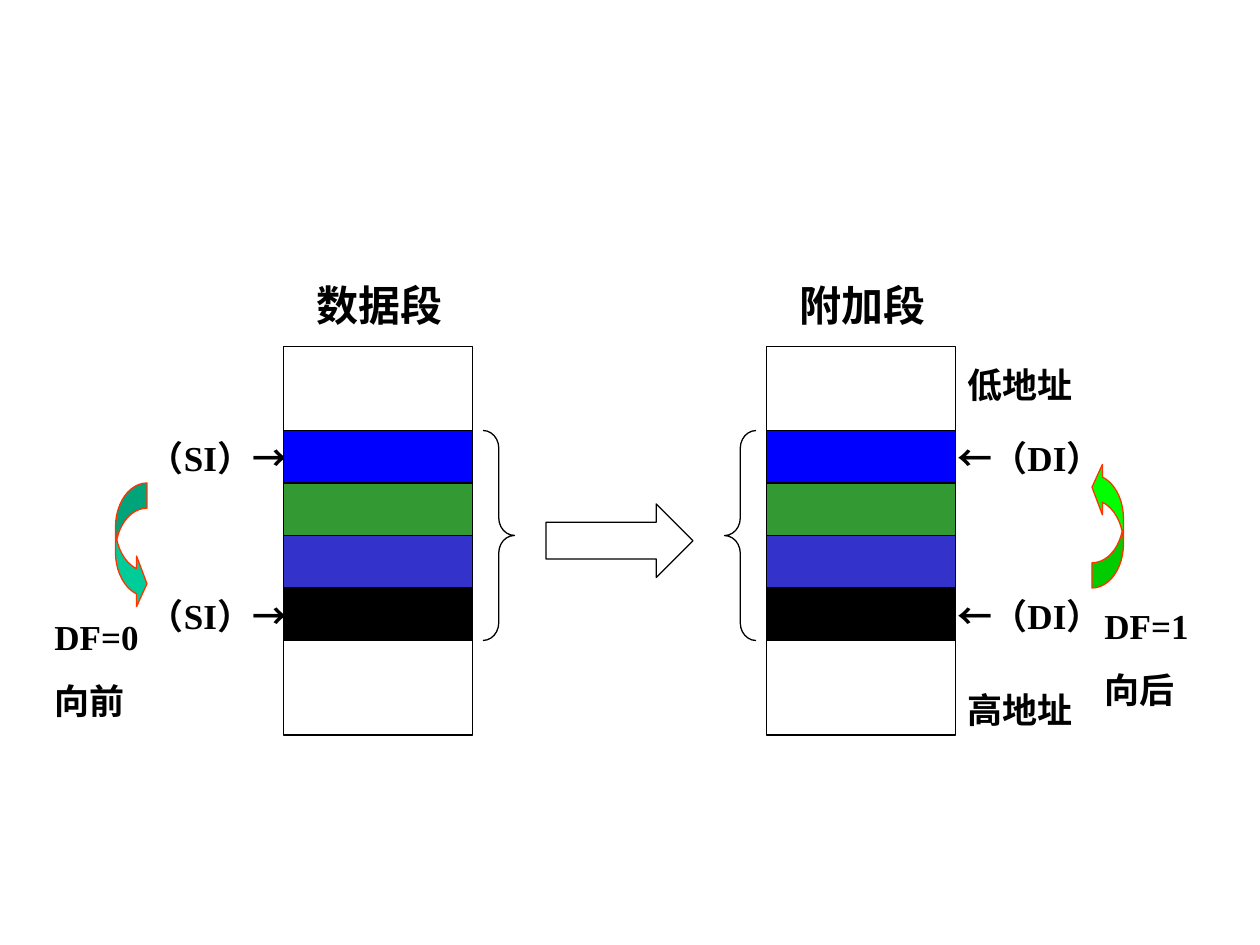
from dataclasses import dataclass

from pptx import Presentation
from pptx.dml.color import RGBColor
from pptx.enum.shapes import MSO_CONNECTOR as Connector, MSO_SHAPE as Shape
from pptx.enum.text import MSO_ANCHOR as Anchor, MSO_AUTO_SIZE as AutoSize, PP_ALIGN as Align
from pptx.oxml.ns import qn
from pptx.util import Inches, Pt


@dataclass(frozen=True)
class Theme:
    ink: str = "000000"
    bands: tuple = ("0000FF", "339933", "3333CC", "000000")
    forward: str = "00CC99"
    backward: str = "00FF00"
    curve_edge: str = "FF3300"
    heading_size: int = 24
    label_size: int = 20
    thin: float = 0.75
    thick: float = 1
    font: str = "Times New Roman"
    arrow_font: str = "Arial"


class Diagram:
    """Draws on a grid of 120 columns by 90 rows, twelve to the inch."""

    def __init__(self, slide, theme):
        self.slide = slide
        self.theme = theme

    def grid(self, *cells):
        return [Inches(cell / 12) for cell in cells]

    def style_line(self, line, color, width):
        line.color.rgb = RGBColor.from_string(color)
        line.width = Pt(width)

    def shape(self, kind, box, fill=None, edge=None, width=None, adjust=(), turn=0):
        shape = self.slide.shapes.add_shape(kind, *self.grid(*box))
        shape.shadow.inherit = False
        shape.rotation = turn
        for index, value in enumerate(adjust):
            shape.adjustments[index] = value
        if fill:
            shape.fill.solid()
            shape.fill.fore_color.rgb = RGBColor.from_string(fill)
        else:
            shape.fill.background()
        self.style_line(shape.line, edge or self.theme.ink, width or self.theme.thin)

    def divider(self, left, right, row):
        connector = self.slide.shapes.add_connector(
            Connector.STRAIGHT, *self.grid(left, row, right, row))
        properties = connector._element.spPr
        self.style_line(connector.line, self.theme.ink, self.theme.thin)
        properties.append(properties.makeelement(qn("a:effectLst"), {}))

    def text(self, box, *lines, size=None):
        """Each line is a list of (text, font) pieces."""
        size = size or self.theme.label_size
        frame = self.slide.shapes.add_textbox(*self.grid(*box)).text_frame
        frame_format = {"word_wrap": True, "auto_size": AutoSize.SHAPE_TO_FIT_TEXT,
                        "vertical_anchor": Anchor.TOP}
        for name, value in frame_format.items():
            setattr(frame, name, value)
        for index, line in enumerate(lines):
            paragraph = frame.add_paragraph() if index else frame.paragraphs[0]
            paragraph.alignment = Align.LEFT
            paragraph.space_before = Pt(size * 0.625 if index else 0)
            for content, font_name in line:
                run = paragraph.add_run()
                run.text = content
                font_format = {"name": font_name, "size": Pt(size), "bold": True}
                for name, value in font_format.items():
                    setattr(run.font, name, value)
                run.font.color.rgb = RGBColor.from_string(self.theme.ink)

    def label(self, box, *lines, size=None):
        self.text(box, *([(line, self.theme.font)] for line in lines), size=size)


def main():
    presentation = Presentation()
    presentation.slide_width, presentation.slide_height = Inches(10), Inches(7.5)
    theme = Theme()
    slide = presentation.slides.add_slide(presentation.slide_layouts[6])
    diagram = Diagram(slide, theme)

    # Memory layout, in grid cells
    data_left, extra_left, segment_width = 27, 73, 18
    segment_top, segment_height = 33, 37
    band_top, band_height = 41, 5
    band_rows = [band_top + band_height * index for index in range(len(theme.bands))]
    band_bottom = band_rows[-1] + band_height
    pointer_rows = (band_rows[0], band_rows[-1])

    # Segment frames, dividers and headings
    for left, heading in ((data_left, "数据段"), (extra_left, "附加段")):
        diagram.shape(Shape.RECTANGLE, (left, segment_top, segment_width, segment_height))
        for row in (*band_rows, band_bottom):
            diagram.divider(left, left + segment_width, row)
        diagram.label((left + 2, 26, 19, 6), heading, size=theme.heading_size)

    # Address labels
    for row, address in ((34, "低地址"), (65, "高地址")):
        diagram.label((91, row, 23, 5.3), address)

    # Index register pointers
    for row in pointer_rows:
        diagram.text((13, row, 18, 5.3), [("（SI）", theme.font), ("→", theme.arrow_font)])
        diagram.text((90, row, 18, 5.3), [("←", theme.arrow_font), ("（DI）", theme.font)])

    # Braces and the transfer arrow
    for left, turn in ((46, 0), (69, 180)):
        diagram.shape(Shape.RIGHT_BRACE, (left, band_top, 3, band_bottom - band_top),
                      adjust=(0.56, 0.5), turn=turn)
    diagram.shape(Shape.RIGHT_ARROW, (52, 48, 14, 7), adjust=(0.5, 0.5))

    # Direction flag: curved arrows and captions
    directions = (
        ((11, 46), theme.forward, 0, (4, 58), ("DF=0", "向前")),
        ((104, 44), theme.backward, 180, (104, 57), ("DF=1", "向后")),
    )
    for corner, color, turn, caption_corner, caption in directions:
        diagram.shape(Shape.CURVED_RIGHT_ARROW, (*corner, 3, 12), color, theme.curve_edge,
                      adjust=(0.8, 1.6, 0.33), turn=turn)
        diagram.label((*caption_corner, 16, 11.3), *caption)

    # Coloured data bands, over the pointer tips
    for row, color in zip(band_rows, theme.bands):
        for left in (data_left, extra_left):
            diagram.shape(Shape.RECTANGLE, (left, row, segment_width, band_height),
                          color, width=theme.thick)

    presentation.save("out.pptx")


if __name__ == "__main__":
    main()
